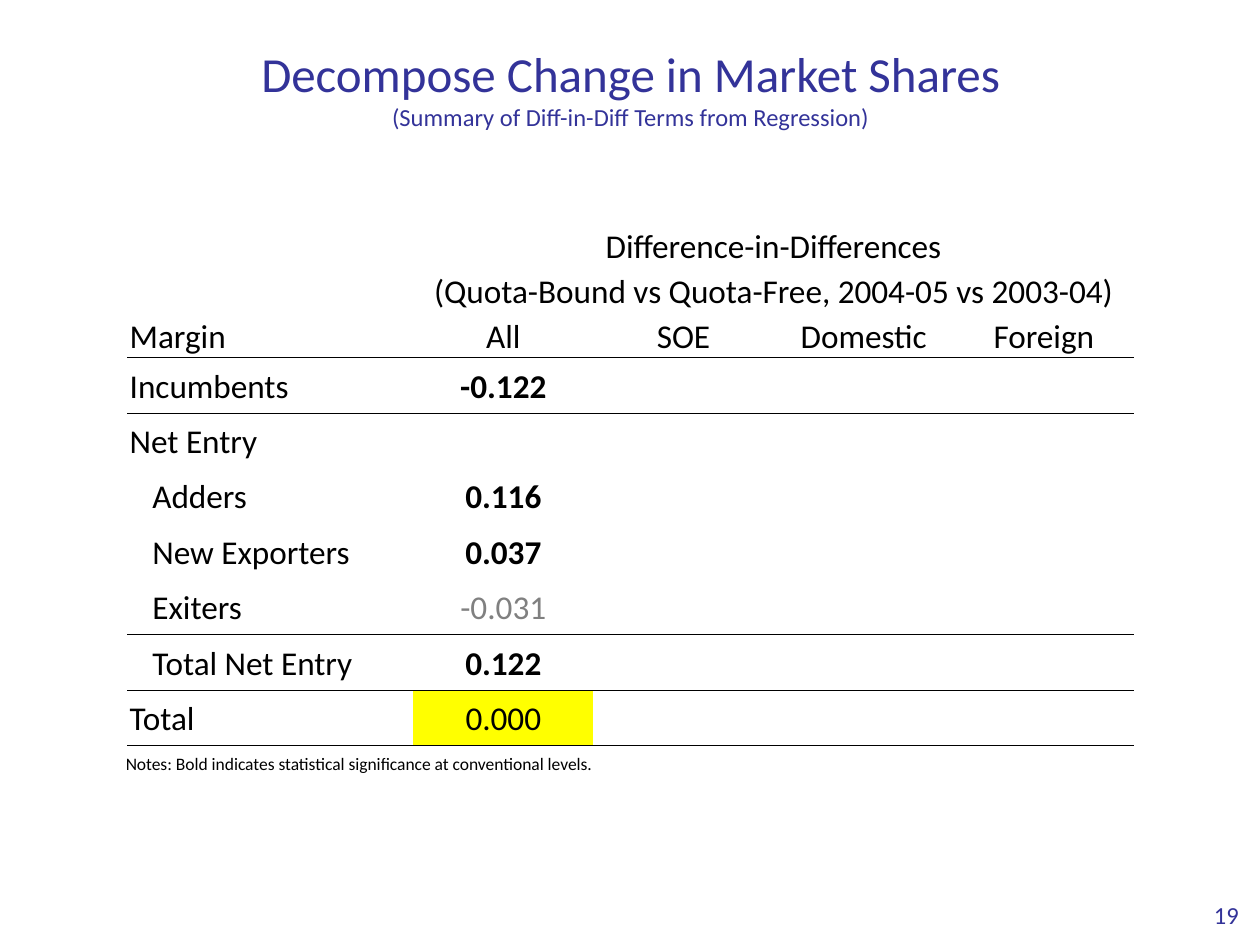
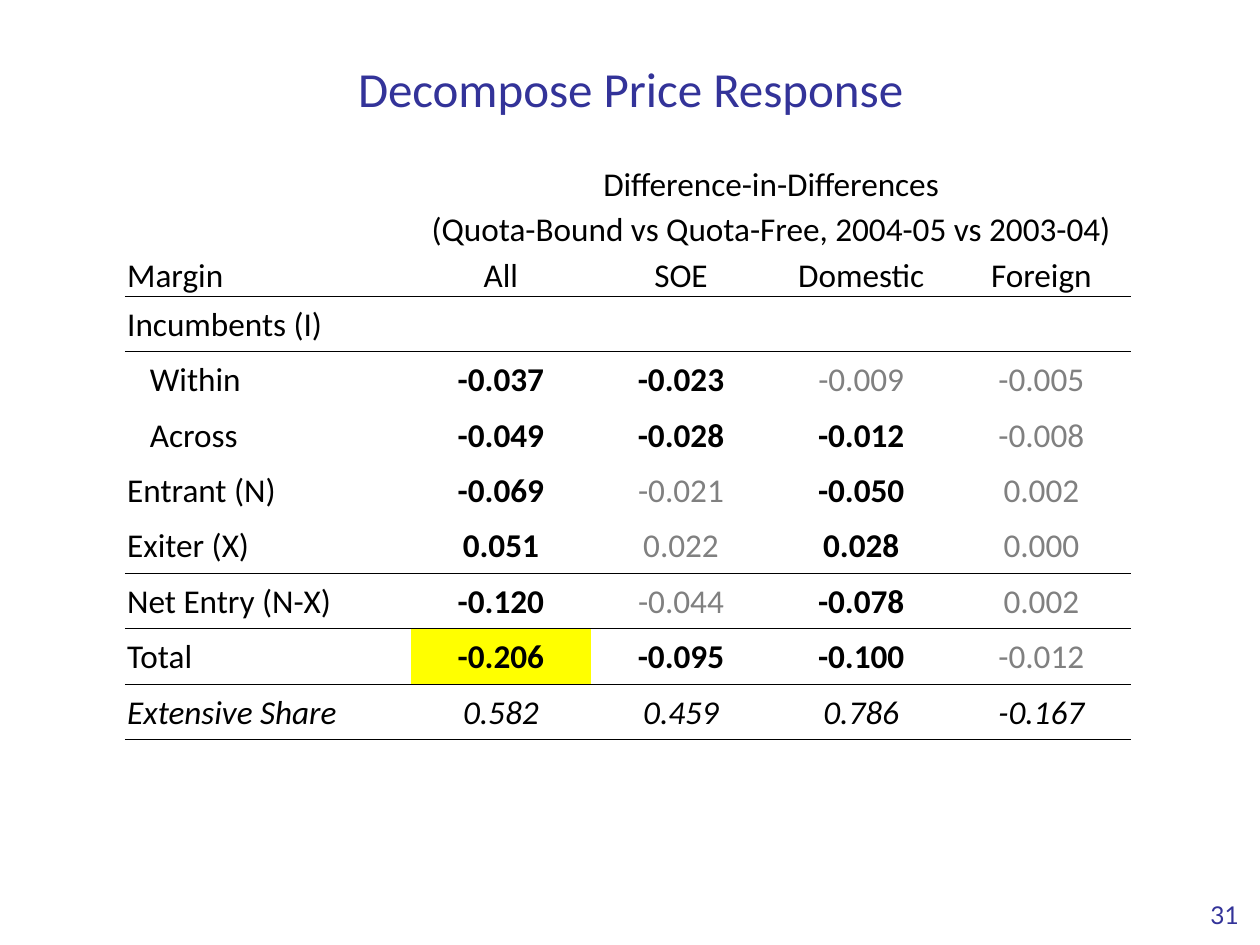
import pptx
import pptx.dml.color
import pptx.enum.text
import pptx.oxml
import pptx.oxml.ns
import pptx.util

Inches, Pt = pptx.util.Inches, pptx.util.Pt
ALIGN, ANCHOR = pptx.enum.text.PP_ALIGN, pptx.enum.text.MSO_ANCHOR

# ---- Content ----
# A value starting with "*" is significant (bold), with "~" insignificant (grey).
HEADINGS = ["Difference-in-Differences",
            "(Quota-Bound vs Quota-Free, 2004-05 vs 2003-04)"]
COLUMNS = ["Margin", "All", "SOE", "Domestic", "Foreign"]

# Row: label, indent level, values, rule below
SHARE_ROWS = [
    ("Incumbents", 0, ["*-0.122"], False),
    ("Net Entry", 0, [], False),
    ("Adders", 1, ["*0.116"], False),
    ("New Exporters", 1, ["*0.037"], False),
    ("Exiters", 1, ["~-0.031"], True),
    ("Total Net Entry", 1, ["*0.122"], True),
    ("Total", 0, ["0.000"], True),
]
PRICE_ROWS = [
    ("Incumbents (I)", 0, [], False),
    ("Within", 1, ["*-0.037", "*-0.023", "~-0.009", "~-0.005"], False),
    ("Across", 1, ["*-0.049", "*-0.028", "*-0.012", "~-0.008"], False),
    ("Entrant (N)", 0, ["*-0.069", "~-0.021", "*-0.050", "~0.002"], False),
    ("Exiter (X)", 0, ["*0.051", "~0.022", "*0.028", "~0.000"], True),
    ("Net Entry (N-X)", 0, ["*-0.120", "~-0.044", "*-0.078", "~0.002"], True),
    ("Total", 0, ["*-0.206", "*-0.095", "*-0.100", "~-0.012"], True),
    ("Extensive Share", 0, ["0.582", "0.459", "0.786", "-0.167"], True),
]
SLIDES = [
    dict(title="Decompose Change in Market Shares",
         subtitle="(Summary of Diff-in-Diff Terms from Regression)",
         rows=SHARE_ROWS, table_at=(1.01, 1.76), number="19", number_font="Calibri",
         notes="Notes: Bold indicates statistical significance at conventional levels."),
    dict(title="Decompose Price Response", rows=PRICE_ROWS, table_at=(0.99, 1.27),
         number="31", number_font="Lato"),
]

# ---- Shared style ----
COLORS = {"title": "333399", "text": "000000", "muted": "808080", "highlight": "FFFF00"}
FONT = "Calibri"
HIGHLIGHTED, ITALIC = ("Total", 1), "Extensive Share"
LABEL_WIDTH, VALUE_WIDTH = 2.27, 1.43
HEAD_HEIGHT, ROW_HEIGHT = 0.36, 0.44
CELL_MARGIN, INDENT = 0.02, 0.18
NO_GRID_STYLE = "{2D5ABB26-0587-4C30-8999-92F81FD0307C}"


def color(name):
    return pptx.dml.color.RGBColor.from_string(COLORS[name])


def style(font, size, color_name="text", name=FONT):
    font.size, font.name = Pt(size), name
    font.color.rgb = color(color_name)


def add_title(page, title, subtitle):
    box = page.shapes.title
    box.left, box.top, box.width, box.height = map(Inches, (0.39, 0.3, 9.23, 0.79))
    frame = box.text_frame
    frame.vertical_anchor = ANCHOR.MIDDLE
    frame.auto_size = pptx.enum.text.MSO_AUTO_SIZE.NONE
    para = frame.paragraphs[0]
    para.alignment = ALIGN.CENTER
    style(para.font, 28, "title")
    para.add_run().text = title
    if subtitle:
        para.add_line_break()
        span = para.add_run()
        span.text = subtitle
        span.font.size = Pt(14)


def add_text(page, text, area, size, color_name="text", font_name=FONT):
    box = page.shapes.add_textbox(*map(Inches, area))
    box.text_frame.word_wrap = True
    para = box.text_frame.paragraphs[0]
    para.text = text
    style(para.font, size, color_name, font_name)
    return box.text_frame


def add_number(page, number, font_name):
    frame = add_text(page, number, (9.39, 6.86, 0.54, 0.52), 14, "title", font_name)
    frame.vertical_anchor = ANCHOR.BOTTOM
    frame.margin_bottom = 0
    frame.paragraphs[0].alignment = ALIGN.RIGHT


def add_rule(cell, side):
    """Draw a thin line on one side of a cell: "T" or "B"."""
    line = pptx.oxml.parse_xml(
        f'<a:ln{side} {pptx.oxml.ns.nsdecls("a")} w="{Pt(0.5)}"><a:solidFill>'
        f'<a:srgbClr val="{COLORS["text"]}"/></a:solidFill></a:ln{side}>')
    cell._tc.get_or_add_tcPr().insert(0, line)


def fill_cell(cell, text, column, anchor=ANCHOR.MIDDLE, indent=0):
    cell.margin_left = Inches(CELL_MARGIN + indent * INDENT)
    cell.margin_right = cell.margin_top = Inches(CELL_MARGIN)
    cell.margin_bottom = 0
    cell.vertical_anchor = anchor
    cell.fill.background()
    para = cell.text_frame.paragraphs[0]
    para.alignment = ALIGN.CENTER if column else ALIGN.LEFT
    style(para.font, 19, "muted" if text.startswith("~") else "text")
    para.font.bold = text.startswith("*")
    if text:
        para.text = text.lstrip("*~")
    return para


def add_margin_table(page, rows, left, top):
    heads = len(HEADINGS) + 1
    widths = [LABEL_WIDTH] + [VALUE_WIDTH] * (len(COLUMNS) - 1)
    heights = [HEAD_HEIGHT] * heads + [ROW_HEIGHT] * len(rows)
    area = map(Inches, (left, top, sum(widths), sum(heights)))
    table = page.shapes.add_table(len(heights), len(widths), *area).table
    table.first_row = table.horz_banding = False
    table._tbl.tblPr.find(pptx.oxml.ns.qn("a:tableStyleId")).text = NO_GRID_STYLE
    for column, width in zip(table.columns, widths):
        column.width = Inches(width)
    for row, height in zip(table.rows, heights):
        row.height = Inches(height)

    # Headings across the value columns, then the column names
    for r, heading in enumerate(HEADINGS):
        for c in range(len(COLUMNS)):
            fill_cell(table.cell(r, c), heading if c == 1 else "", c, ANCHOR.BOTTOM)
        table.cell(r, 1).merge(table.cell(r, len(COLUMNS) - 1))
    for c, name in enumerate(COLUMNS):
        fill_cell(table.cell(heads - 1, c), name, c, ANCHOR.BOTTOM)

    # Margins and their values
    for r, (label, indent, values, _) in enumerate(rows, heads):
        texts = [label] + values + [""] * (len(COLUMNS) - 1 - len(values))
        for c, text in enumerate(texts):
            cell = table.cell(r, c)
            para = fill_cell(cell, text, c, indent=0 if c else indent)
            para.font.italic = label == ITALIC
            if (label, c) == HIGHLIGHTED:
                cell.fill.solid()
                cell.fill.fore_color.rgb = color("highlight")

    # Rules; the bottom line goes in first so that the top line precedes it
    ruled = {heads - 1} | {r for r, row in enumerate(rows, heads) if row[3]}
    for r in range(len(heights)):
        for c in range(len(COLUMNS)):
            if r in ruled:
                add_rule(table.cell(r, c), "B")
            if r - 1 in ruled:
                add_rule(table.cell(r, c), "T")


def main():
    deck = pptx.Presentation()
    deck.slide_width, deck.slide_height = Inches(10), Inches(7.5)
    for content in SLIDES:
        page = deck.slides.add_slide(deck.slide_layouts.get_by_name("Title Only"))
        add_number(page, content["number"], content["number_font"])
        add_title(page, content["title"], content.get("subtitle"))
        add_margin_table(page, content["rows"], *content["table_at"])
        if "notes" in content:
            add_text(page, content["notes"], (0.9, 5.93, 7.7, 0.27), 10)
    deck.save("out.pptx")


if __name__ == "__main__":
    main()
